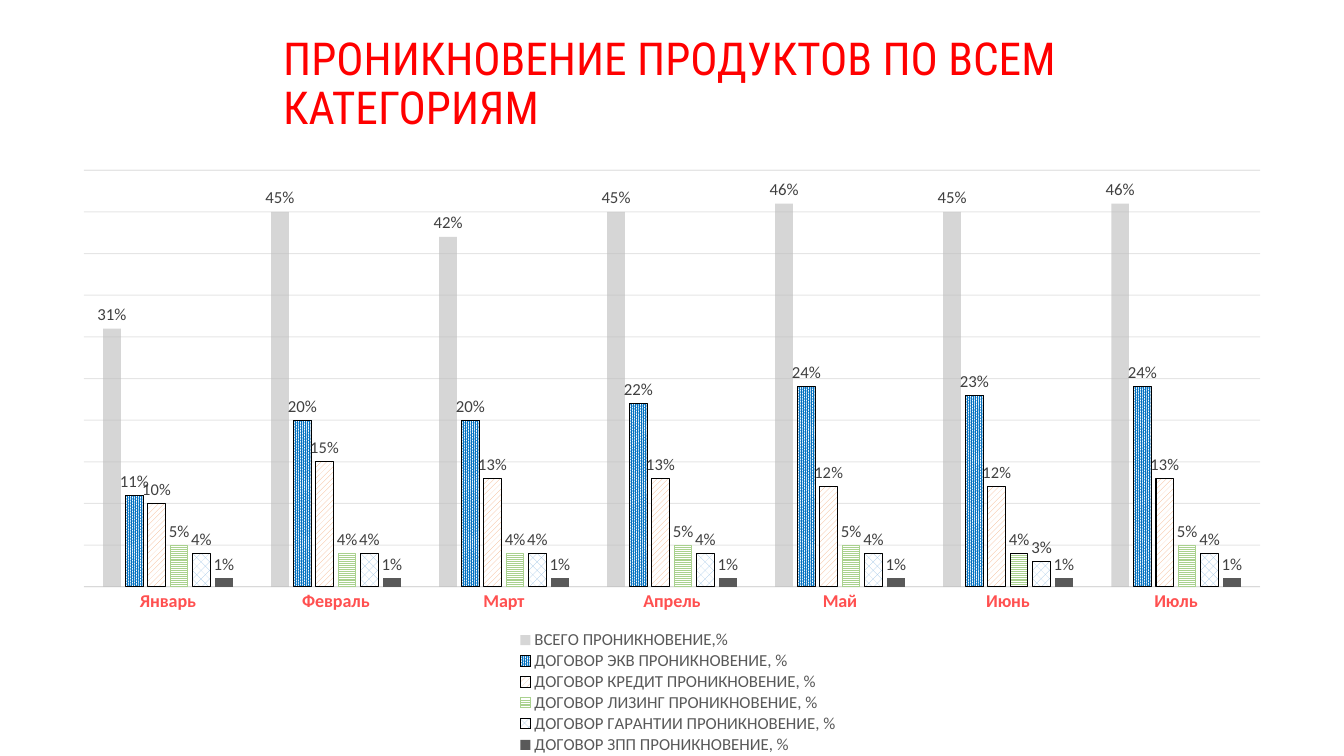
from lxml import etree
from pptx import Presentation
from pptx.chart.data import CategoryChartData
from pptx.dml.color import RGBColor
from pptx.enum.chart import XL_CHART_TYPE, XL_LABEL_POSITION, XL_LEGEND_POSITION, XL_TICK_MARK
from pptx.enum.dml import MSO_PATTERN
from pptx.enum.text import MSO_ANCHOR
from pptx.oxml.ns import qn
from pptx.util import Inches, Pt

COLUMNS = XL_CHART_TYPE.COLUMN_CLUSTERED
OUTSIDE_END = XL_LABEL_POSITION.OUTSIDE_END
BOTTOM = XL_LEGEND_POSITION.BOTTOM
NO_TICK = XL_TICK_MARK.NONE
DOTS = MSO_PATTERN.PERCENT_90
LIGHT_DOTS = MSO_PATTERN(6)  # 40 percent
DIAGONAL, STRIPES = MSO_PATTERN.WIDE_UPWARD_DIAGONAL, MSO_PATTERN.NARROW_HORIZONTAL

# Content
TITLE = "ПРОНИКНОВЕНИЕ ПРОДУКТОВ ПО ВСЕМ КАТЕГОРИЯМ"
MONTHS = ["Январь", "Февраль", "Март", "Апрель", "Май", "Июнь", "Июль"]
COLORS = {
    "title": "FF0000", "month": "FF5050", "label": "404040", "legend": "595959",
    "axis": "D9D9D9", "black": "000000", "white": "FFFFFF", "total": "BFBFBF",
    "blue": "0070C0", "orange": "F4B183", "green": "A9D18E", "sky": "9DC3E6",
    "dark": "595959",
}
# name, percentages, fill, pattern, outline, label size
SERIES = [
    ("ВСЕГО ПРОНИКНОВЕНИЕ,%", [31, 45, 42, 45, 46, 45, 46], "total", None, None, 12),
    ("ДОГОВОР ЭКВ ПРОНИКНОВЕНИЕ, %", [11, 20, 20, 22, 24, 23, 24], "blue", DOTS, "black", 12),
    ("ДОГОВОР КРЕДИТ ПРОНИКНОВЕНИЕ, %", [10, 15, 13, 13, 12, 12, 13], "orange", DIAGONAL, "black", 11.7),
    ("ДОГОВОР ЛИЗИНГ ПРОНИКНОВЕНИЕ, %", [5, 4, 4, 5, 5, 4, 5], "green", STRIPES, "green", 12),
    ("ДОГОВОР ГАРАНТИИ ПРОНИКНОВЕНИЕ, %", [4, 4, 4, 4, 4, 3, 4], "sky", LIGHT_DOTS, "black", 12),
    ("ДОГОВОР ЗПП ПРОНИКНОВЕНИЕ, %", [1] * 7, "dark", None, None, 12),
]
LEASING, JUNE = 3, 5

# Frames in inches; layouts as shares of the chart
TITLE_FRAME = (2.71, 0.43, 7.92, 0.84)
CHART_FRAME = (0.46, 1.51, 12.41, 5.99)
PLOT_LAYOUT = (0.03, 0.03, 0.94, 0.69)
LEGEND_LAYOUT = (0.37, 0.79, 0.27, 0.21)


def rgb(name):
    return RGBColor.from_string(COLORS[name])


def set_font(font, size, color, family="Calibri", bold=False):
    font.size, font.name, font.bold = Pt(size), family, bold
    font.color.rgb = rgb(color)


def set_alpha(fill_parent, percent):
    color = next(fill_parent.iter(qn("a:srgbClr")))
    etree.SubElement(color, qn("a:alpha")).set("val", str(percent * 1000))


def paint(style, color, pattern, outline):
    if pattern is None:
        style.fill.solid()
        style.fill.fore_color.rgb = rgb(color)
    else:
        style.fill.patterned()
        style.fill.pattern = pattern
        style.fill.fore_color.rgb = rgb(color)
        style.fill.back_color.rgb = rgb("white")
    if outline is None:
        style.line.fill.background()
    else:
        style.line.color.rgb = rgb(outline)
        style.line.width = Pt(0.75)


def place(parent, index, shares, inner=False):
    for old in parent.findall(qn("c:layout")):
        parent.remove(old)
    layout = etree.Element(qn("c:layout"))
    manual = etree.SubElement(layout, qn("c:manualLayout"))
    settings = [("layoutTarget", "inner")] if inner else []
    settings += [("xMode", "edge"), ("yMode", "edge")]
    settings += zip("xywh", shares)
    for tag, value in settings:
        etree.SubElement(manual, qn("c:" + tag)).set("val", str(value))
    parent.insert(index, layout)


deck = Presentation()
deck.slide_width, deck.slide_height = Inches(13.33), Inches(7.5)
page = deck.slides.add_slide(deck.slide_layouts[6])

# Title
box = page.shapes.add_textbox(*map(Inches, TITLE_FRAME))
box.text_frame.word_wrap = True
box.text_frame.vertical_anchor = MSO_ANCHOR.MIDDLE
para = box.text_frame.paragraphs[0]
para.text = TITLE
para.line_spacing = 0.9
set_font(para.font, 32.4, "title", "Roboto Condensed")

# Chart
data = CategoryChartData(number_format="0%")
data.categories = MONTHS
for name, percentages, *_ in SERIES:
    data.add_series(name, [value / 100 for value in percentages])
chart = page.shapes.add_chart(COLUMNS, *map(Inches, CHART_FRAME), data).chart
chart.has_title = False
set_font(chart.font, 10, "black")
plot = chart.plots[0]
plot.gap_width, plot.overlap, plot.vary_by_categories = 219, -27, False

# Columns and their labels
for series, (_, _, color, pattern, outline, size) in zip(plot.series, SERIES):
    paint(series.format, color, pattern, outline)
    series.invert_if_negative = False
    labels = series.data_labels
    labels.show_value, labels.position = True, OUTSIDE_END
    labels.number_format, labels.number_format_is_linked = "0%", False
    set_font(labels.font, size, "label")
set_alpha(plot.series[0].format.fill._xPr, 64)
paint(plot.series[LEASING].points[JUNE].format, "green", STRIPES, "black")

# Axes
months = chart.category_axis
months.major_tick_mark = months.minor_tick_mark = NO_TICK
months.format.line.color.rgb = rgb("axis")
months.format.line.width = Pt(0.75)
set_font(months.tick_labels.font, 12.9, "month", bold=True)
scale = chart.value_axis
scale.minimum_scale, scale.maximum_scale, scale.major_unit = 0, 0.5, 0.05
scale.has_major_gridlines = True
grid = scale.major_gridlines.format.line
grid.color.rgb = rgb("black")
grid.width = Pt(0.75)
set_alpha(grid._ln, 10)
scale.visible = False

# Legend and placement
chart.has_legend = True
chart.legend.position = BOTTOM
chart.legend.include_in_layout = False
set_font(chart.legend.font, 12, "legend")
chart_xml = chart._chartSpace.chart
place(chart_xml.plotArea, 0, PLOT_LAYOUT, inner=True)
place(chart_xml.find(qn("c:legend")), 1, LEGEND_LAYOUT)

deck.save("out.pptx")
